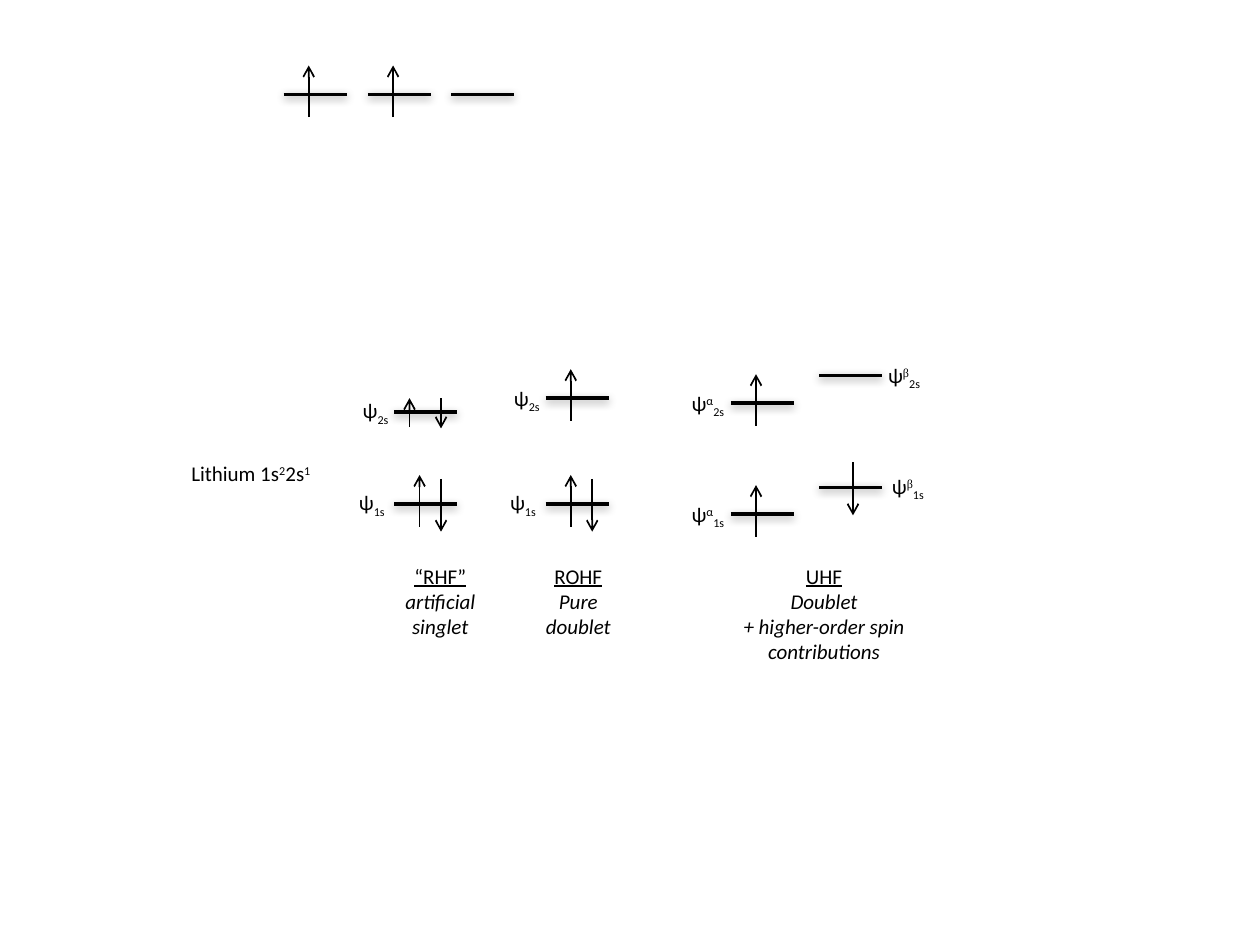
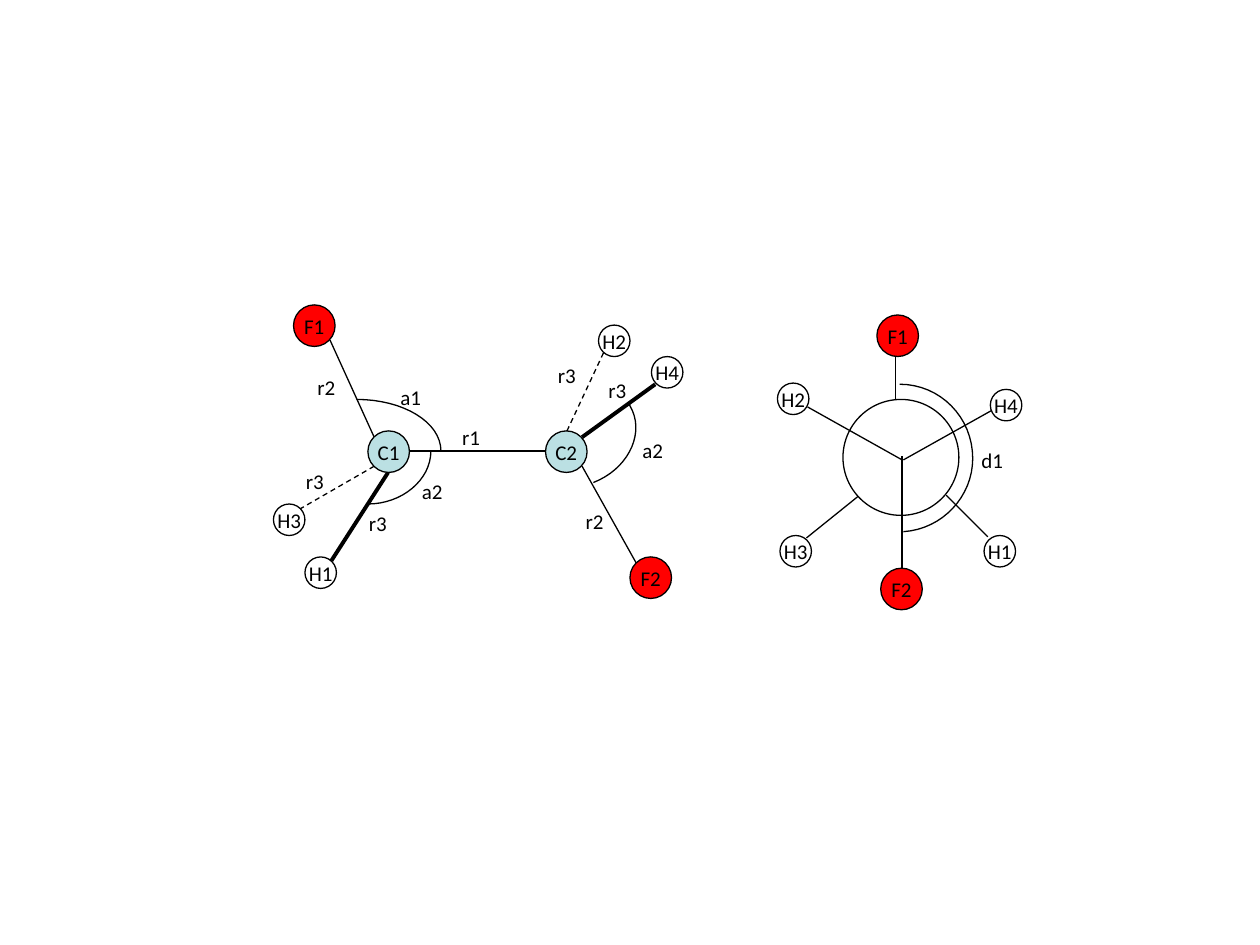
from lxml import etree
from pptx import Presentation
from pptx import util as u
from pptx.dml.color import RGBColor
from pptx.enum import dml, shapes, text
from pptx.oxml import ns

BLACK, WHITE, RED, TEAL = "000000", "FFFFFF", "FF0000", "BBE0E3"
FONT, GREEK_FONT, SIZE = "Calibri", "Times New Roman", 12
SUPER, SUB = 30, -25

# Slide 1: energy levels
LEVEL_WIDTH = 0.5
# spin: tail and head measured down from the level
SPINS = {"up": (0.18, -0.23), "down": (-0.2, 0.22),
         "short up": (0.12, -0.11), "short down": (-0.11, 0.13)}
# left, height on the slide, spins with their offset along the level
LEVELS = [
    (2.25, 0.75, [(0.2, "up")]),
    (2.92, 0.75, [(0.2, "up")]),
    (3.58, 0.75, []),
    (3.13, 4, [(0.2, "up"), (0.37, "down")]),
    (3.13, 3.27, [(0.12, "short up"), (0.37, "short down")]),
    (4.33, 4, [(0.2, "up"), (0.37, "down")]),
    (4.33, 3.16, [(0.2, "up")]),
    (5.8, 4.08, [(0.2, "up")]),
    (5.8, 3.2, [(0.2, "up")]),
    (6.5, 3.87, [(0.27, "down")]),
    (6.5, 2.98, []),
]
# left, top, width, spin superscript, orbital
ORBITALS = [
    (2.75, 3.84, 0.42, "", "1s"), (2.78, 3.11, 0.42, "", "2s"),
    (3.95, 3.84, 0.42, "", "1s"), (3.98, 3.01, 0.42, "", "2s"),
    (5.39, 3.93, 0.48, "α", "1s"), (5.39, 3.05, 0.48, "α", "2s"),
    (6.98, 3.71, 0.48, "β", "1s"), (6.95, 2.83, 0.48, "β", "2s"),
]
LITHIUM = [("Lithium 1s", 0), ("2", SUPER), ("2s", 0), ("1", SUPER)]
# left, width, height, wrap, lines
METHODS = [
    (3.11, 0.77, 0.71, False, ["“RHF”", "artificial", "singlet"]),
    (4.17, 0.84, 0.71, True, ["ROHF", "Pure doublet"]),
    (5.75, 1.58, 0.91, True,
     ["UHF", "Doublet", "+ higher-order spin contributions"]),
]
METHOD_TOP = 4.42

# Slide 2: molecule and its view along the C1–C2 axis
ATOMS = {"C": (0.33, TEAL), "F": (0.33, RED), "H": (0.25, WHITE)}
PLACES = [
    ("C1", 2.92, 3.42), ("C2", 4.33, 3.42), ("F1", 2.33, 2.42),
    ("F2", 5, 4.42), ("H1", 2.42, 4.42), ("H3", 2.17, 4),
    ("H2", 4.75, 2.58), ("H4", 5.17, 2.83),
    ("F2", 6.99, 4.51), ("H2", 6.17, 3.04), ("H4", 7.86, 3.09),
    ("F1", 6.96, 2.5), ("H3", 6.19, 4.25), ("H1", 7.81, 4.25),
]
BONDS = {
    "plain": [
        (3.25, 3.58, 4.33, 3.58), (2.62, 2.7, 2.97, 3.47),
        (4.62, 3.7, 5.05, 4.47), (7.16, 3.62, 7.16, 4.54),
        (7.17, 3.65, 7.92, 3.23), (7.16, 3.65, 6.41, 3.23),
        (7.11, 2.83, 7.11, 3.17), (6.81, 3.94, 6.4, 4.27),
        (7.51, 3.93, 7.84, 4.26),
    ],
    "front": [(3.08, 3.75, 2.63, 4.45), (5.2, 3.05, 4.62, 3.47)],
    "back": [(2.97, 3.7, 2.38, 4.04), (4.79, 2.8, 4.5, 3.42)],
}
RING = (6.69, 3.17, 0.92)
# start point, then two control points and an end point for each curve
ANGLES = [
    [(2.83, 3.17), (3.2, 3.17), (3.5, 3.35), (3.5, 3.58)],
    [(2.92, 4), (3.19, 4), (3.42, 3.81), (3.42, 3.58)],
    [(4.71, 3.83), (4.97, 3.73), (5.11, 3.47), (5.02, 3.26),
     (5.01, 3.24), (5, 3.22), (4.99, 3.2)],
    [(7.14, 3.05), (7.46, 3.05), (7.72, 3.31), (7.72, 3.64),
     (7.72, 3.94), (7.48, 4.2), (7.17, 4.22)],
]
CURVE_STEPS = 16
MEASURES = [
    ("r1", 3.57, 3.32), ("r2", 2.42, 2.92), ("r2", 4.55, 3.99),
    ("r3", 2.83, 4), ("r3", 2.33, 3.67), ("r3", 4.33, 2.83),
    ("r3", 4.73, 2.95), ("a1", 3.08, 3), ("a2", 3.25, 3.75),
    ("a2", 5, 3.42), ("d1", 7.69, 3.5),
]


def inches(*lengths):
    return [u.Inches(length) for length in lengths]


def color(hex_string):
    return RGBColor.from_string(hex_string)


def style(span, font=FONT):
    span.font.name = font
    span.font.size = u.Pt(SIZE)
    span.font.color.rgb = color(BLACK)


def add_line(slide, x1, y1, x2, y2, width=0.75):
    line = slide.shapes.add_connector(
        shapes.MSO_CONNECTOR.STRAIGHT, *inches(x1, y1, x2, y2))
    line.line.color.rgb = color(BLACK)
    line.line.width = u.Pt(width)
    outline = line.line._get_or_add_ln()
    effects = etree.SubElement(line._element.spPr, ns.qn("a:effectLst"))
    return line, outline, effects


def add_level(slide, left, y):
    effects = add_line(slide, left, y, left + LEVEL_WIDTH, y, 2)[2]
    shadow = etree.SubElement(
        effects, ns.qn("a:outerShdw"), blurRad=str(u.Pt(5)),
        dist=str(u.Pt(1.6)), dir="5400000", rotWithShape="0")
    shade = etree.SubElement(shadow, ns.qn("a:srgbClr"), val=BLACK)
    etree.SubElement(shade, ns.qn("a:alpha"), val="38000")


def add_spin(slide, x, y, spin):
    tail, head = SPINS[spin]
    outline = add_line(slide, x, y + tail, x, y + head, 1)[1]
    etree.SubElement(outline, ns.qn("a:tailEnd"), type="arrow")


def add_box(slide, left, top, width, height=0.3, wrap=False):
    box = slide.shapes.add_textbox(*inches(left, top, width, height))
    box.text_frame.word_wrap = wrap
    box.text_frame.auto_size = text.MSO_AUTO_SIZE.SHAPE_TO_FIT_TEXT
    return box.text_frame


def add_formula(slide, left, top, width, parts):
    """Write one line of (characters, baseline shift in percent) parts."""
    para = add_box(slide, left, top, width).paragraphs[0]
    for characters, shift in parts:
        span = para.add_run()
        span.text = characters
        style(span, GREEK_FONT if characters == "β" else FONT)
        if shift:
            span.font._element.set("baseline", str(shift * 1000))


def add_method(slide, left, width, height, wrap, lines):
    frame = add_box(slide, left, METHOD_TOP, width, height, wrap)
    frame.text = "\n".join(lines)
    for row, para in enumerate(frame.paragraphs):
        para.alignment = text.PP_ALIGN.CENTER
        span = para.runs[0]
        style(span)
        span.font.underline = row == 0
        span.font.italic = row > 0


def add_circle(slide, left, top, size, fill):
    circle = slide.shapes.add_shape(
        shapes.MSO_SHAPE.OVAL, *inches(left, top, size, size))
    circle.shadow.inherit = False
    circle.fill.solid()
    circle.fill.fore_color.rgb = color(fill)
    circle.line.color.rgb = color(BLACK)
    circle.line.width = u.Pt(0.75)
    return circle


def add_atom(slide, name, left, top):
    frame = add_circle(slide, left, top, *ATOMS[name[0]]).text_frame
    frame.word_wrap = False
    frame.vertical_anchor = text.MSO_ANCHOR.MIDDLE
    frame.text = name
    frame.paragraphs[0].alignment = text.PP_ALIGN.CENTER
    style(frame.paragraphs[0].runs[0])


def curve_point(t, *controls):
    """Point at share t of a cubic Bézier curve."""
    weights = ((1 - t) ** 3, 3 * t * (1 - t) ** 2, 3 * t * t * (1 - t), t ** 3)
    return tuple(u.Inches(sum(w * c[axis] for w, c in zip(weights, controls)))
                 for axis in (0, 1))


def add_angle(slide, controls):
    points = [curve_point(step / CURVE_STEPS, *controls[first:first + 4])
              for first in range(0, len(controls) - 1, 3)
              for step in range(CURVE_STEPS + 1)]
    builder = slide.shapes.build_freeform(*points[0], scale=1.0)
    builder.add_line_segments(points[1:], close=False)
    arc = builder.convert_to_shape()
    arc.shadow.inherit = False
    arc.fill.background()
    arc.line.color.rgb = color(BLACK)
    arc.line.width = u.Pt(0.75)


def draw_levels(slide):
    for left, y, spins in LEVELS:
        add_level(slide, left, y)
        for offset, spin in spins:
            add_spin(slide, left + offset, y, spin)
    add_formula(slide, 1.42, 3.61, 1.17, LITHIUM)
    for left, top, width, spin, orbital in ORBITALS:
        parts = [("ψ", 0), (spin, SUPER), (orbital, SUB)]
        add_formula(slide, left, top, width, [p for p in parts if p[0]])
    for method in METHODS:
        add_method(slide, *method)


def draw_molecule(slide):
    add_circle(slide, *RING, WHITE)
    for kind, ends in BONDS.items():
        for bond in ends:
            line = add_line(slide, *bond, 2.25 if kind == "front" else 0.75)[0]
            if kind == "back":
                line.line.dash_style = dml.MSO_LINE.DASH
    for atom in PLACES:
        add_atom(slide, *atom)
    for controls in ANGLES:
        add_angle(slide, controls)
    for name, left, top in MEASURES:
        add_formula(slide, left, top, 0.34 if name[0] == "r" else 0.37,
                    [(name, 0)])


def main():
    deck = Presentation()
    deck.slide_width, deck.slide_height = inches(10, 7.5)
    blank = deck.slide_layouts[6]
    for draw in (draw_levels, draw_molecule):
        draw(deck.slides.add_slide(blank))
    deck.save("out.pptx")


if __name__ == "__main__":
    main()
